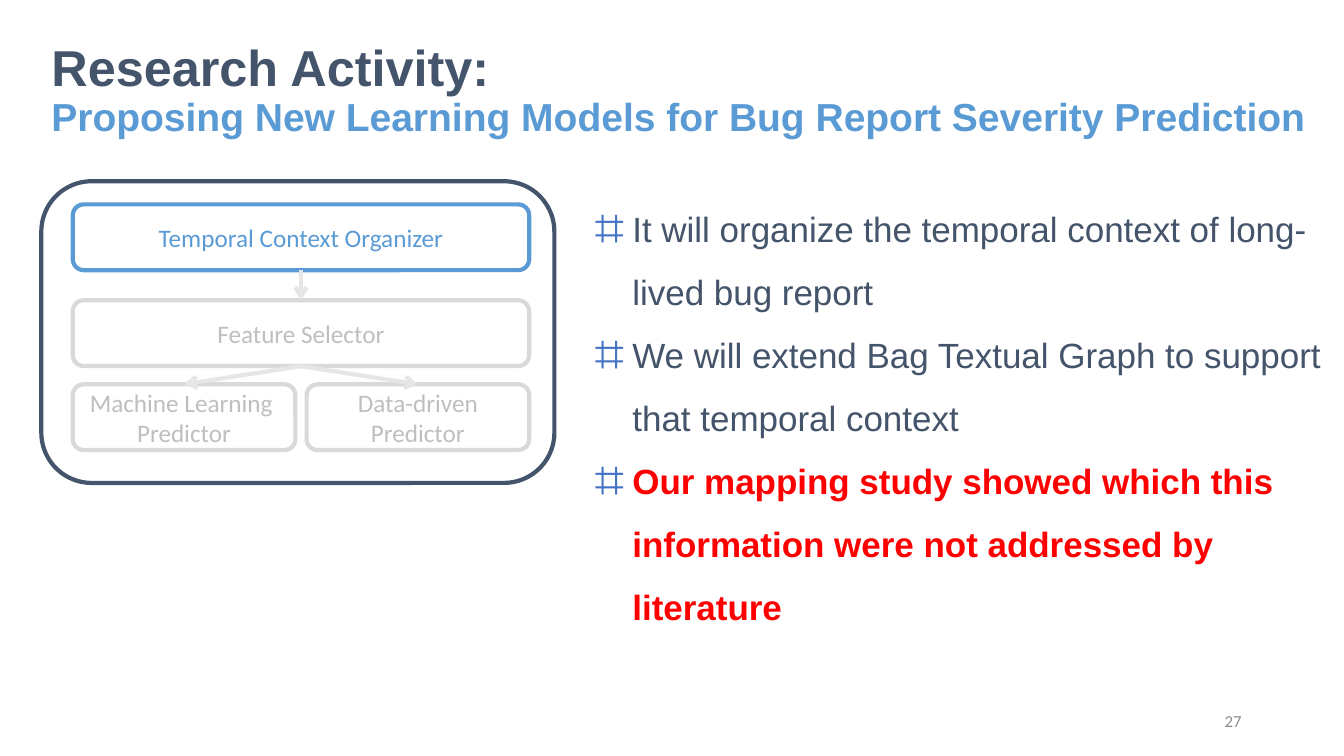
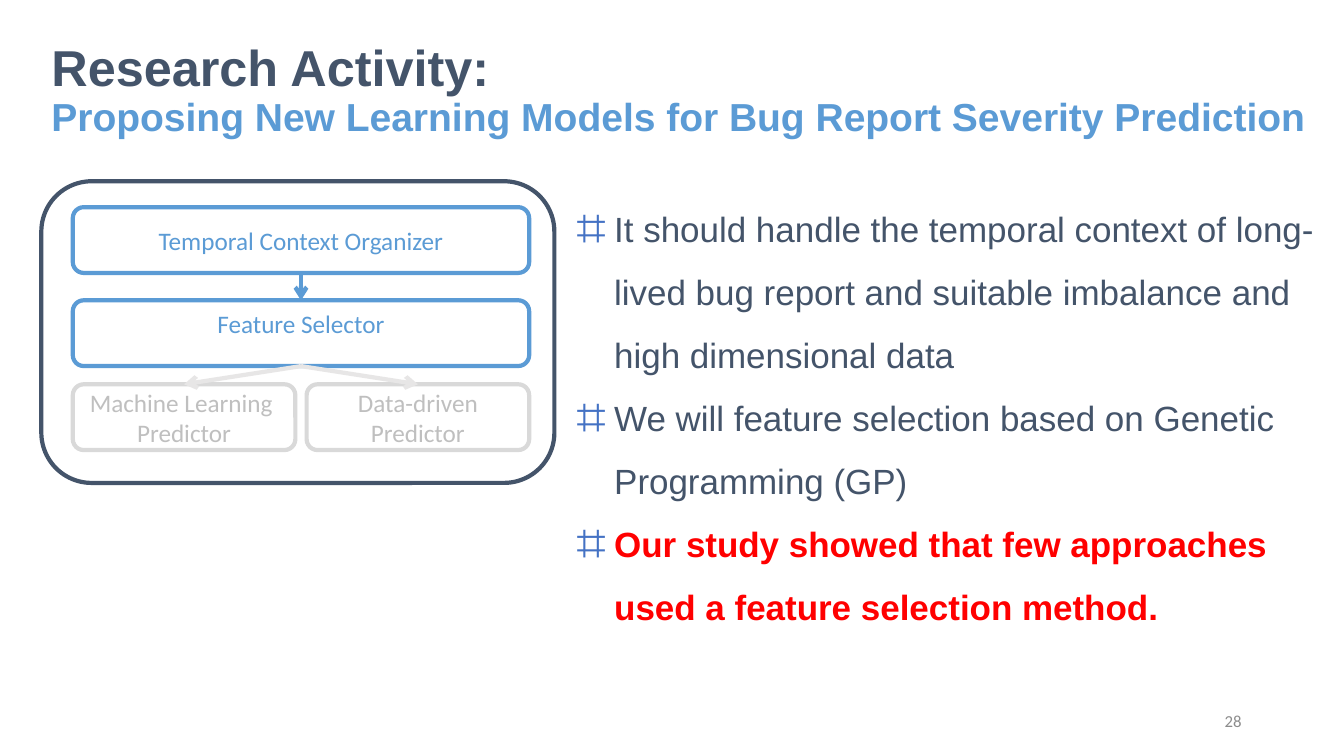
from lxml import etree
from pptx import Presentation
from pptx.dml.color import RGBColor
from pptx.enum.shapes import MSO_CONNECTOR, MSO_SHAPE
from pptx.enum.text import MSO_ANCHOR, MSO_AUTO_SIZE, PP_ALIGN
from pptx.oxml.ns import qn
from pptx.util import Pt

ROUNDED = MSO_SHAPE.ROUNDED_RECTANGLE
STRAIGHT = MSO_CONNECTOR.STRAIGHT
TOP, MIDDLE = MSO_ANCHOR.TOP, MSO_ANCHOR.MIDDLE
LEFT, CENTER, RIGHT = PP_ALIGN.LEFT, PP_ALIGN.CENTER, PP_ALIGN.RIGHT
NO_FIT = MSO_AUTO_SIZE.NONE

WHITE = RGBColor(0xFF, 0xFF, 0xFF)
NAVY = RGBColor(0x44, 0x54, 0x6A)
BLUE = RGBColor(0x5B, 0x9B, 0xD5)
BULLET_BLUE = RGBColor(0x44, 0x72, 0xC4)
RED = RGBColor(0xFF, 0x00, 0x00)
OUTLINE_GREY = RGBColor(0xD9, 0xD9, 0xD9)
TEXT_GREY = RGBColor(0xBF, 0xBF, 0xBF)
ARROW_GREY = RGBColor(0xE7, 0xE6, 0xE6)
NUMBER_GREY = RGBColor(0x8C, 0x8C, 0x8C)

HEADING_FONT = {"name": "Arial", "size": Pt(36), "bold": True}
SUBHEADING_FONT = {**HEADING_FONT, "size": Pt(27.9)}
LIST_FONT = {"name": "Arial", "size": Pt(25), "bold": False}
BOX_FONT = {"name": "Calibri", "size": Pt(18)}
NUMBER_FONT = {"name": "Calibri", "size": Pt(12)}

FRAME = (29.5, 129.5, 366.5, 215.5)
TITLE_AREA = (29.5, 29, 919.5, 73)
NUMBER_AREA = (678, 500.5, 216, 29)
LIST_TOP, LIST_HEIGHT, LIST_INDENT = 129.5, 319.5, 27
BOX_LEFT, BOX_WIDTH, BOX_HEIGHT, BOX_GAP = 52, 326, 47, 8
SELECTOR_TOP, PREDICTOR_TOP = 214.5, 274.5
PREDICTORS = (("Machine Learning ", "Predictor"), ("Data-driven", "Predictor"))

SLIDES = (
    {
        "number": "27",
        "list_left": 417.5,
        "list_width": 543,
        "points": (
            "It will organize the temporal context of long-lived bug report",
            "We will extend Bag Textual Graph to support that temporal context",
        ),
        "finding": "Our mapping study showed which this information "
                   "were not addressed by literature",
        "organizer_top": 146,
        "selector_active": False,
        "selector_anchor": MIDDLE,
    },
    {
        "number": "28",
        "list_left": 404.5,
        "list_width": 546,
        "points": (
            "It should handle the temporal context of long-lived bug report "
            "and suitable imbalance and high dimensional data",
            "We will feature selection based on Genetic Programming (GP)",
        ),
        "finding": "Our study showed that few approaches used "
                   "a feature selection method.",
        "organizer_top": 148,
        "selector_active": True,
        "selector_anchor": TOP,
    },
)


def apply(target, values):
    for name, value in values.items():
        setattr(target, name, value)


def place(shape, area):
    sides = ("left", "top", "width", "height")
    apply(shape, {side: Pt(length) for side, length in zip(sides, area)})


def add_span(para, text, style, color):
    span = para.add_run()
    span.text = text
    apply(span.font, style)
    span.font.color.rgb = color


def style_template(deck, layout):
    title_style = deck.slide_master.element.find(".//" + qn("p:titleStyle"))
    level = title_style.find(qn("a:lvl1pPr"))
    level.set("algn", "l")
    default = level.find(qn("a:defRPr"))
    default.set("sz", "3600")
    default.find(qn("a:latin")).set("typeface", "Arial")
    place(layout.placeholders[0], TITLE_AREA)


def fill_title(page):
    frame = page.shapes.title.text_frame
    apply(frame, {"vertical_anchor": MIDDLE, "auto_size": NO_FIT})
    para = frame.paragraphs[0]
    apply(para, {"alignment": LEFT, "line_spacing": 0.9})
    add_span(para, "Research Activity:", HEADING_FONT, NAVY)
    para.add_line_break()
    add_span(para, "Proposing New Learning Models for Bug Report Severity Prediction",
             SUBHEADING_FONT, BLUE)


def set_bullet(para):
    properties = para._p.get_or_add_pPr()
    indent = Pt(LIST_INDENT)
    properties.set("marL", str(indent))
    properties.set("indent", str(-indent))
    color = etree.SubElement(properties, qn("a:buClr"))
    etree.SubElement(color, qn("a:srgbClr"), val=str(BULLET_BLUE))
    etree.SubElement(properties, qn("a:buSzPct"), val="150000")
    etree.SubElement(properties, qn("a:buChar"), char="⌗")


def fill_list(page, content):
    body = page.placeholders[1]
    place(body, (content["list_left"], LIST_TOP, content["list_width"], LIST_HEIGHT))
    frame = body.text_frame
    apply(frame, {"auto_size": NO_FIT, "vertical_anchor": TOP})
    items = [(text, LIST_FONT, NAVY) for text in content["points"]]
    items.append((content["finding"], {**LIST_FONT, "bold": True}, RED))
    for index, item in enumerate(items):
        para = frame.add_paragraph() if index else frame.paragraphs[0]
        apply(para, {"line_spacing": 1.5, "space_before": Pt(0)})
        set_bullet(para)
        add_span(para, *item)


def add_box(page, area, outline):
    box = page.shapes.add_shape(ROUNDED, *map(Pt, area))
    box.shadow.inherit = False
    box.fill.solid()
    box.fill.fore_color.rgb = WHITE
    box.line.color.rgb = outline
    box.line.width = Pt(3)
    return box


def add_step(page, lines, area, active=False, anchor=MIDDLE):
    box = add_box(page, area, BLUE if active else OUTLINE_GREY)
    frame = box.text_frame
    apply(frame, {"word_wrap": True, "vertical_anchor": anchor})
    for index, line in enumerate(lines):
        para = frame.add_paragraph() if index else frame.paragraphs[0]
        para.alignment = CENTER
        add_span(para, line, BOX_FONT, BLUE if active else TEXT_GREY)
    return box


def add_arrow(page, source, target, color):
    arrow = page.shapes.add_connector(STRAIGHT, 0, 0, 0, 0)
    arrow.begin_connect(source, 2)
    arrow.end_connect(target, 0)
    arrow.line.color.rgb = color
    arrow.line.width = Pt(3)
    etree.SubElement(arrow.line._get_or_add_ln(), qn("a:tailEnd"), type="arrow")
    etree.SubElement(arrow._element.spPr, qn("a:effectLst"))


def add_diagram(page, content):
    active = content["selector_active"]
    add_box(page, FRAME, NAVY)
    organizer = add_step(
        page, ["Temporal Context Organizer"],
        (BOX_LEFT, content["organizer_top"], BOX_WIDTH, BOX_HEIGHT), True)
    selector = add_step(
        page, ["Feature Selector"],
        (BOX_LEFT, SELECTOR_TOP, BOX_WIDTH, BOX_HEIGHT),
        active, content["selector_anchor"])
    add_arrow(page, organizer, selector, BLUE if active else ARROW_GREY)
    width = (BOX_WIDTH - BOX_GAP) / 2
    for column, lines in enumerate(PREDICTORS):
        left = BOX_LEFT + column * (width + BOX_GAP)
        predictor = add_step(page, lines, (left, PREDICTOR_TOP, width, BOX_HEIGHT))
        add_arrow(page, selector, predictor, ARROW_GREY)


def add_number(page, number):
    box = page.shapes.add_textbox(*map(Pt, NUMBER_AREA))
    apply(box.text_frame, {"word_wrap": True, "vertical_anchor": MIDDLE})
    para = box.text_frame.paragraphs[0]
    para.alignment = RIGHT
    add_span(para, number, NUMBER_FONT, NUMBER_GREY)


def main():
    deck = Presentation()
    apply(deck, {"slide_width": Pt(960), "slide_height": Pt(540)})
    layout = deck.slide_layouts[1]
    style_template(deck, layout)
    for content in SLIDES:
        page = deck.slides.add_slide(layout)
        fill_title(page)
        fill_list(page, content)
        add_diagram(page, content)
        add_number(page, content["number"])
    deck.save("out.pptx")


if __name__ == "__main__":
    main()
